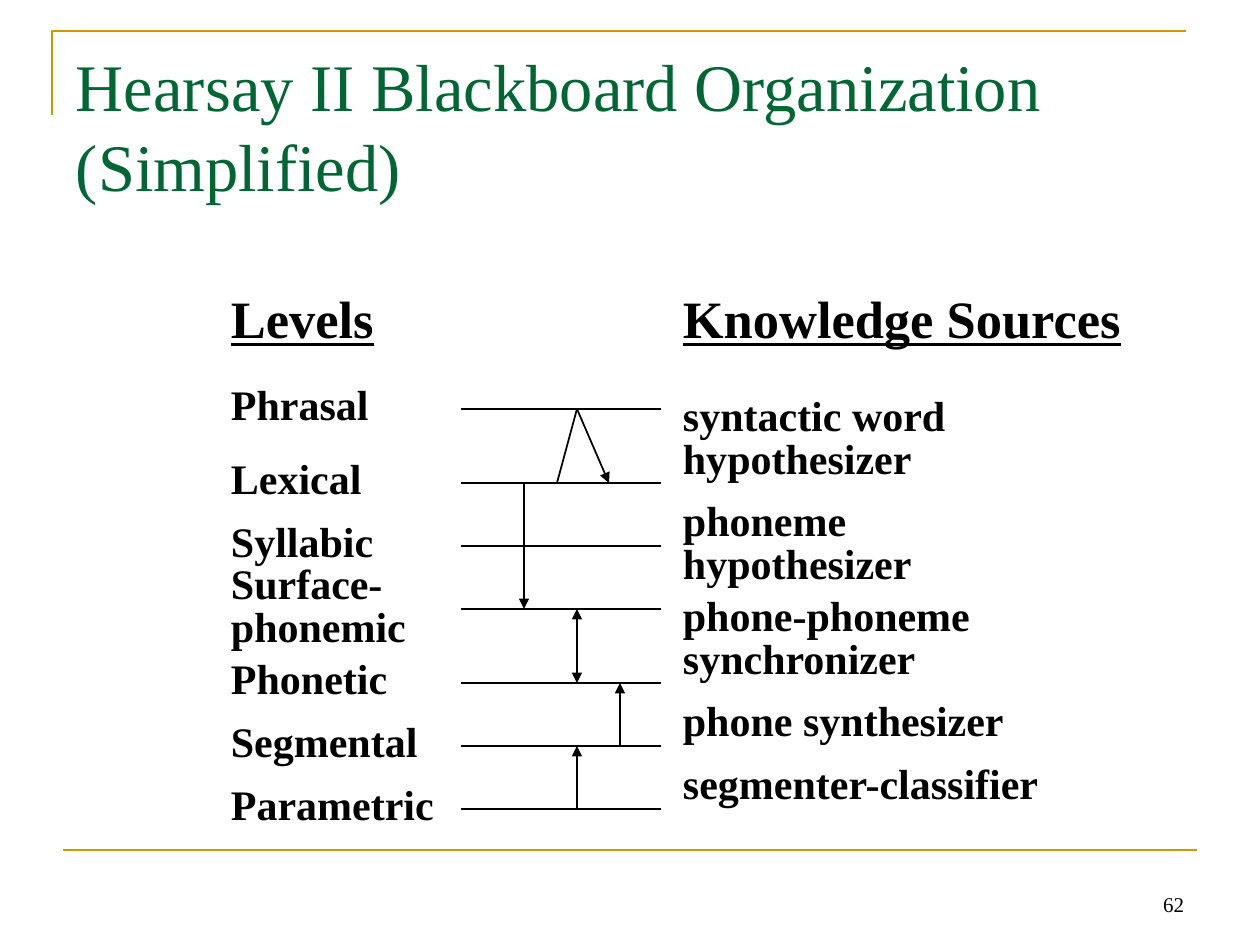
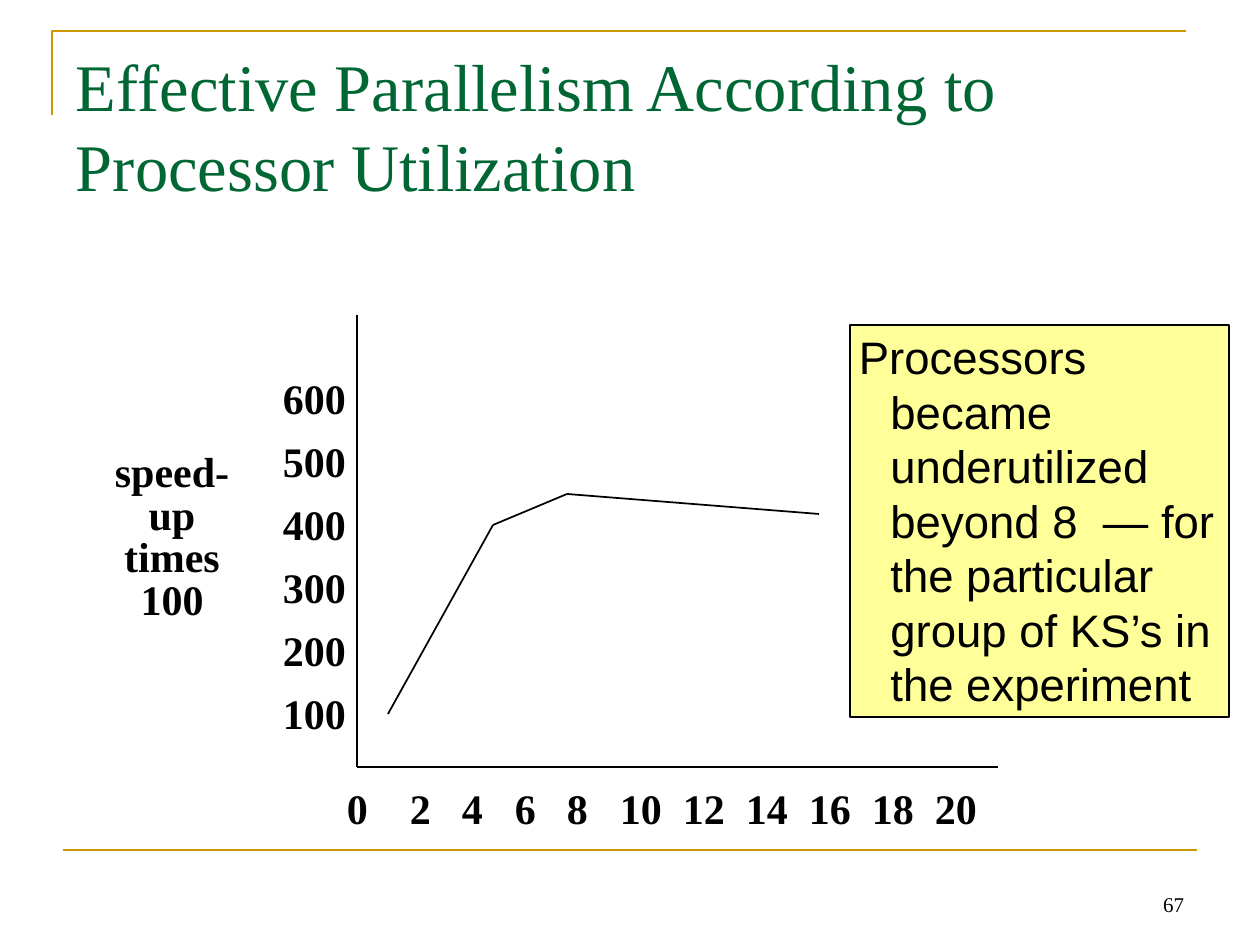
from itertools import accumulate, pairwise

from lxml.etree import SubElement
from pptx import Presentation
from pptx.dml.color import RGBColor
from pptx.enum.shapes import MSO_CONNECTOR, MSO_SHAPE
from pptx.enum.text import MSO_ANCHOR, MSO_AUTO_SIZE, PP_ALIGN
from pptx.oxml.ns import qn
from pptx.util import Inches, Pt

EMU_PER_PX = Inches(1) / 126

BLACK = RGBColor(0x00, 0x00, 0x00)
GOLD = RGBColor(0xCC, 0x99, 0x00)
GREEN = RGBColor(0x00, 0x66, 0x33)
YELLOW = RGBColor(0xFF, 0xFF, 0x99)

SERIF = "Times New Roman"
TITLE = {"name": SERIF, "size": Pt(38)}
PAGE_NUMBER = {"name": SERIF, "size": Pt(12)}
LABEL = {"name": SERIF, "size": Pt(24), "bold": True}
HEADING = {"name": SERIF, "size": Pt(30), "bold": True, "underline": True}
NOTE = {"name": "Arial", "size": Pt(26)}

# Height of a label by its number of lines
LABEL_HEIGHT = {1: 50, 2: 93, 4: 179}


def px(*lengths):
    return [round(n * EMU_PER_PX) for n in lengths]


def set_margins(tf, left, right, y):
    tf.margin_left, tf.margin_right = px(left, right)
    tf.margin_top = tf.margin_bottom = px(y)[0]


def write(tf, text, style, color=BLACK, align=PP_ALIGN.LEFT, spacing=None):
    """Fill a frame with one paragraph for each line of text."""
    for i, line in enumerate(text.split("\n")):
        p = tf.paragraphs[0] if i == 0 else tf.add_paragraph()
        p.text = line
        p.alignment = align
        p.line_spacing = spacing
        for r in p.runs:
            for key, value in style.items():
                setattr(r.font, key, value)
            r.font.color.rgb = color


def add_text(s, box, text, style, color=BLACK, align=PP_ALIGN.LEFT,
             anchor=MSO_ANCHOR.TOP):
    tf = s.shapes.add_textbox(*px(*box)).text_frame
    tf.word_wrap = True
    tf.vertical_anchor = anchor
    set_margins(tf, 13, 13, 6)
    write(tf, text, style, color, align)


def add_label(s, x, y, w, text, style=LABEL, h=None, align=PP_ALIGN.LEFT):
    """Add a bold label; no right margin, so that its lines never break."""
    h = h or LABEL_HEIGHT[len(text.split("\n"))]
    tf = s.shapes.add_textbox(*px(x, y, w, h)).text_frame
    tf.word_wrap = False
    tf.auto_size = MSO_AUTO_SIZE.SHAPE_TO_FIT_TEXT
    set_margins(tf, 0 if align == PP_ALIGN.CENTER else 9, 0, 4)
    write(tf, text, style, align=align, spacing=0.85)


def add_line(s, start, end, color=BLACK, width=1, arrows=()):
    """Draw a line; arrows names its ends, headEnd before tailEnd."""
    line = s.shapes.add_connector(MSO_CONNECTOR.STRAIGHT, *px(*start, *end))
    line.line.color.rgb = color
    line.line.width = Pt(width)
    ln = line.line._get_or_add_ln()
    for arrow in arrows:
        SubElement(ln, qn(f"a:{arrow}"), type="triangle")
    SubElement(line._element.spPr, qn("a:effectLst"))


def add_note(s, box, text):
    sp = s.shapes.add_shape(MSO_SHAPE.RECTANGLE, *px(*box))
    sp.shadow.inherit = False
    sp.fill.solid()
    sp.fill.fore_color.rgb = YELLOW
    sp.line.color.rgb = BLACK
    sp.line.width = Pt(1)
    tf = sp.text_frame
    tf.word_wrap = True
    tf.vertical_anchor = MSO_ANCHOR.TOP
    set_margins(tf, 9, 9, 4)
    write(tf, text, NOTE)
    pPr = tf.paragraphs[0]._p.get_or_add_pPr()
    pPr.set("marL", str(Inches(0.25)))
    pPr.set("indent", str(-Inches(0.25)))


def add_base_slide(prs, title, number):
    """Add a blank slide with the gold rules, title and page number."""
    s = prs.slides.add_slide(prs.slide_layouts[6])
    corner = s.shapes.build_freeform(52, 115, scale=EMU_PER_PX)
    corner.add_line_segments([(52, 31), (1186, 31)], close=False)
    sp = corner.convert_to_shape()
    sp.shadow.inherit = False
    sp.fill.background()
    sp.line.color.rgb = GOLD
    sp.line.width = Pt(1.5)
    add_line(s, (63, 850), (1197, 850), GOLD, 1.5)
    add_text(s, (63, 39, 1134, 158), title, TITLE, GREEN)
    add_text(s, (903, 860, 294, 63), number, PAGE_NUMBER,
             align=PP_ALIGN.RIGHT, anchor=MSO_ANCHOR.BOTTOM)
    return s


def build_blackboard(prs):
    s = add_base_slide(
        prs, "Hearsay II Blackboard Organization\v(Simplified)", "62")
    levels_x, sources_x = 222, 674
    add_label(s, levels_x, 292, 160, "Levels", HEADING, 62)
    add_label(s, sources_x, 292, 456, "Knowledge Sources", HEADING, 62)

    # Levels: each label is centred on its line
    phrasal, lexical, syllabic, surface = 409, 483, 546, 609
    phonetic, segmental, parametric = 683, 746, 809
    levels = [
        (phrasal, 155, "Phrasal"),
        (lexical, 149, "Lexical"),
        (syllabic, 160, "Syllabic"),
        (surface, 193, "Surface-\nphonemic"),
        (phonetic, 174, "Phonetic"),
        (segmental, 204, "Segmental"),
        (parametric, 221, "Parametric"),
    ]
    for y, w, name in levels:
        add_line(s, (461, y), (661, y))
        half = LABEL_HEIGHT[len(name.split("\n"))] // 2
        add_label(s, levels_x, y - half - 2, w, name)

    # Knowledge sources
    for y, w, name in [
        (393, 280, "syntactic word\nhypothesizer"),
        (498, 246, "phoneme\nhypothesizer"),
        (593, 305, "phone-phoneme\nsynchronizer"),
        (698, 339, "phone synthesizer"),
        (761, 374, "segmenter-classifier"),
    ]:
        add_label(s, sources_x, y, w, name)

    # Moves between levels
    to_end, both_ends = ["tailEnd"], ["headEnd", "tailEnd"]
    for start, end, arrows in [
        ((577, parametric), (577, segmental), to_end),
        ((620, segmental), (620, phonetic), to_end),
        ((577, phonetic), (577, surface), both_ends),
        ((524, lexical), (524, surface), to_end),
        ((557, lexical), (577, phrasal), []),
        ((577, phrasal), (609, lexical), to_end),
    ]:
        add_line(s, start, end, arrows=arrows)


def build_parallelism(prs):
    s = add_base_slide(
        prs, "Effective Parallelism According to Processor Utilization", "67")

    # Axes
    origin = (357, 767)
    add_line(s, (357, 315), origin)
    add_line(s, origin, (998, 767))

    # Processor counts along the bottom
    gaps = [63, 52, 53, 52, 53] + [63] * 5
    for i, x in enumerate(accumulate(gaps, initial=338)):
        count = str(2 * i)
        add_label(s, x, 786, 39 if len(count) == 1 else 59, count)

    # Speed-up values up the side
    for i in range(6):
        add_label(s, 274, 691 - 63 * i, 80, str(100 * (i + 1)))
    add_label(s, 106, 449, 132, "speed-\nup\ntimes\n100",
              align=PP_ALIGN.CENTER)

    # Speed-up curve
    curve = [(388, 714), (493, 525), (567, 494), (819, 514)]
    for start, end in pairwise(curve):
        add_line(s, start, end)

    add_note(s, (850, 325, 379, 392),
             "Processors became underutilized beyond 8  — for the particular "
             "group of KS’s in the experiment")


def main():
    prs = Presentation()
    prs.slide_width, prs.slide_height = px(1260, 945)
    build_blackboard(prs)
    build_parallelism(prs)
    prs.save("out.pptx")


if __name__ == "__main__":
    main()
